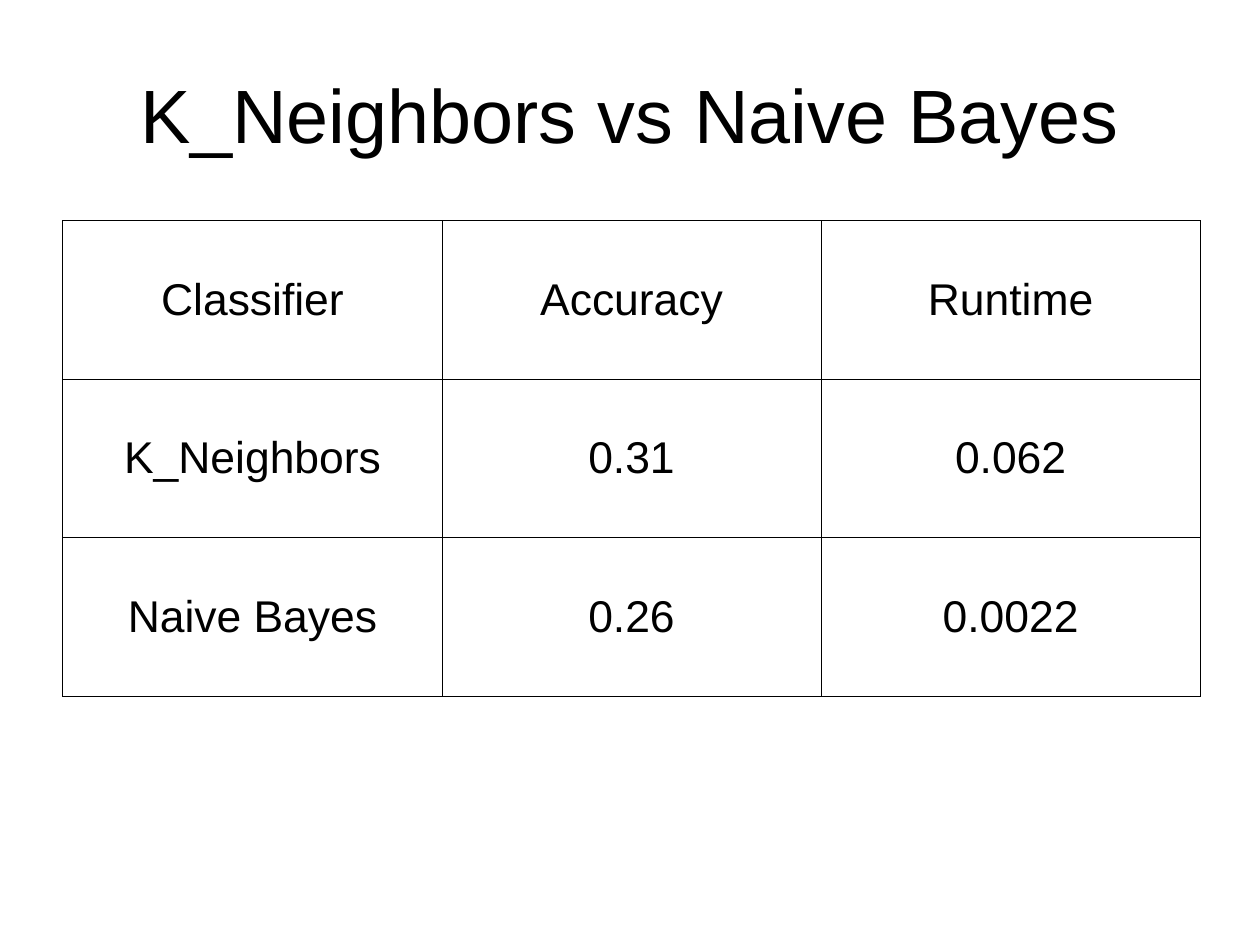
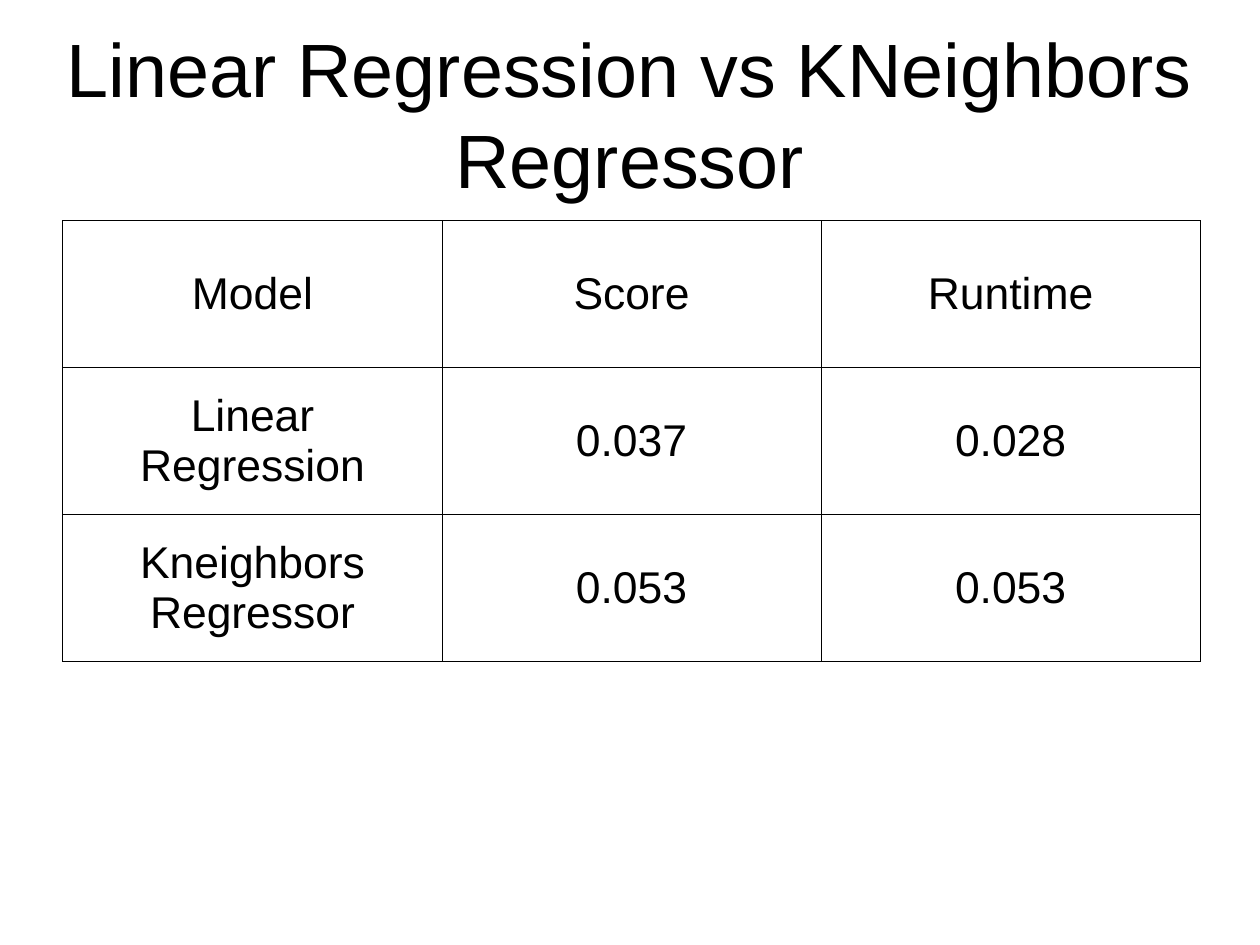
from pptx import Presentation
from pptx.dml.color import RGBColor
from pptx.enum import text
from pptx.oxml import parse_xml
from pptx.oxml.ns import nsdecls
from pptx.util import Cm, Inches, Pt

INK = "000000"
PAPER = "FFFFFF"
TITLE_BOX = (0.55, 0.31, 9.92, 1.36)
TABLE_LEFT, TABLE_TOP, TABLE_WIDTH = 0.55, 1.93, 9.95
TITLE_FONT = {"name": "Arial", "size": Pt(47.6)}
CELL_FONT = {"name": "Arial", "size": Pt(28)}
BORDER_WIDTH = Pt(0.57)

COMPARISONS = [
    ("K_Neighbors vs Naive Bayes", 4.16, [
        ("Classifier", "Accuracy", "Runtime"),
        ("K_Neighbors", "0.31", "0.062"),
        ("Naive Bayes", "0.26", "0.0022"),
    ]),
    ("Linear Regression vs KNeighbors Regressor", 3.86, [
        ("Model", "Score", "Runtime"),
        ("Linear Regression", "0.037", "0.028"),
        ("Kneighbors Regressor", "0.053", "0.053"),
    ]),
]


def color(hex_value):
    return RGBColor.from_string(hex_value)


def write_centred(frame, words, font_format):
    para = frame.paragraphs[0]
    para.alignment = text.PP_ALIGN.CENTER
    span = para.add_run()
    span.text = words
    for name, value in font_format.items():
        setattr(span.font, name, value)
    span.font.color.rgb = color(INK)


def add_title(page, box, words):
    frame = page.shapes.add_textbox(*map(Inches, box)).text_frame
    frame_format = {"word_wrap": True, "vertical_anchor": text.MSO_ANCHOR.MIDDLE,
                    "margin_left": 0, "margin_right": 0,
                    "margin_top": 0, "margin_bottom": 0}
    for name, value in frame_format.items():
        setattr(frame, name, value)
    write_centred(frame, words, TITLE_FONT)


def add_borders(cell):
    properties = cell._tc.get_or_add_tcPr()
    for position, side in enumerate(("lnL", "lnR", "lnT", "lnB")):
        properties.insert(position, parse_xml(
            f'<a:{side} {nsdecls("a")} w="{BORDER_WIDTH}"><a:solidFill>'
            f'<a:srgbClr val="{INK}"/></a:solidFill></a:{side}>'))


def add_results(page, box, rows):
    """Fill the box with an evenly divided, ruled table."""
    left, top, width, height = map(Inches, box)
    columns = len(rows[0])
    table = page.shapes.add_table(len(rows), columns, left, top, width, height).table
    for column in table.columns:
        column.width = width // columns
    for row, values in zip(table.rows, rows):
        row.height = height // len(rows)
        for cell, value in zip(row.cells, values):
            cell.fill.background()
            cell.vertical_anchor = text.MSO_ANCHOR.MIDDLE
            write_centred(cell.text_frame, value, CELL_FONT)
            add_borders(cell)


def add_comparison(deck, title, table_height, rows):
    page = deck.slides.add_slide(deck.slide_layouts[6])
    page.background.fill.solid()
    page.background.fill.fore_color.rgb = color(PAPER)
    add_title(page, TITLE_BOX, title)
    add_results(page, (TABLE_LEFT, TABLE_TOP, TABLE_WIDTH, table_height), rows)


def main():
    deck = Presentation()
    deck.slide_width = Cm(28)
    deck.slide_height = Cm(21)
    for comparison in COMPARISONS:
        add_comparison(deck, *comparison)
    deck.save("out.pptx")


if __name__ == "__main__":
    main()
